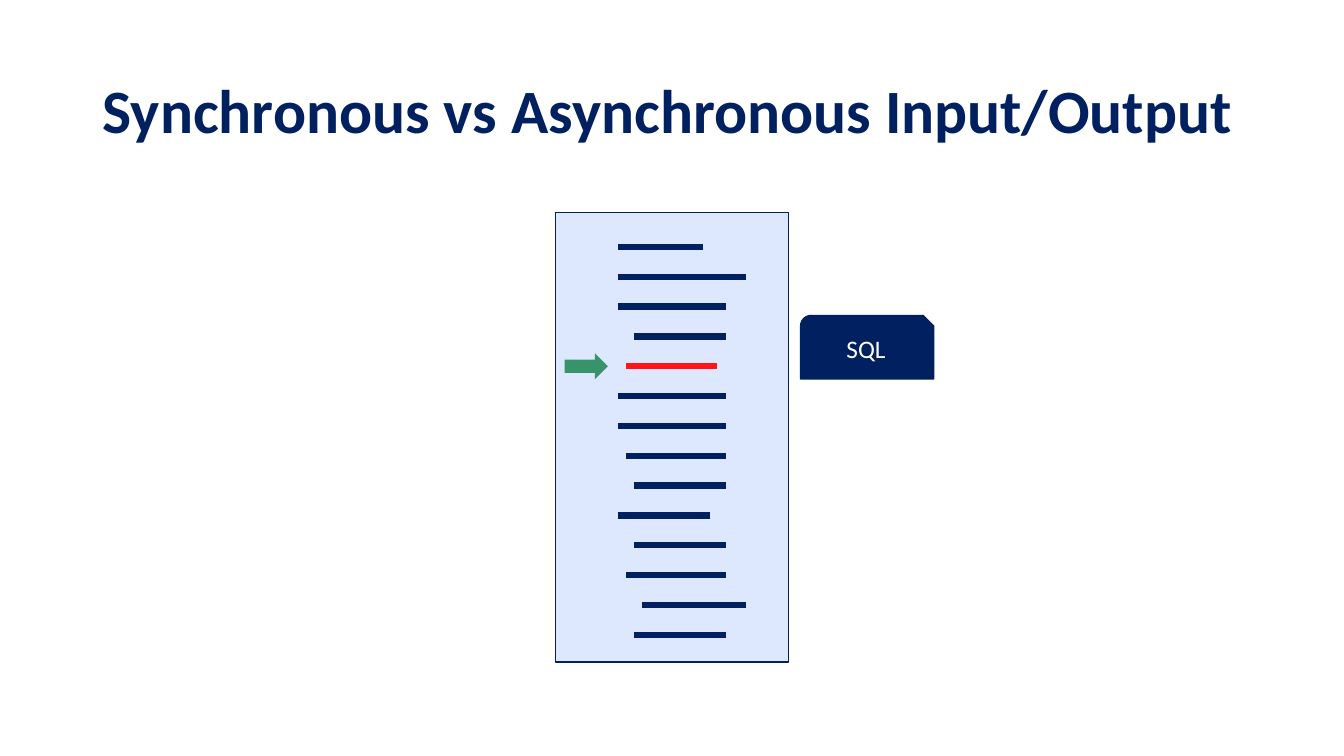
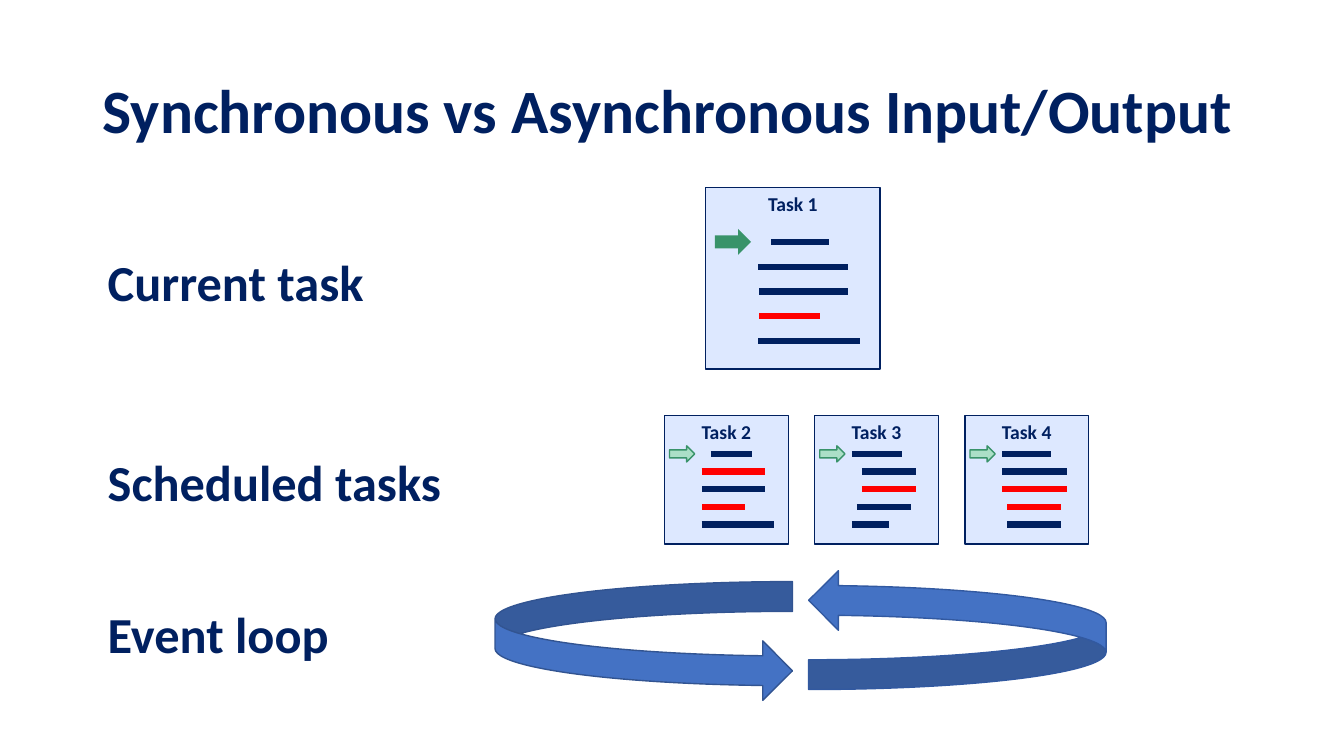
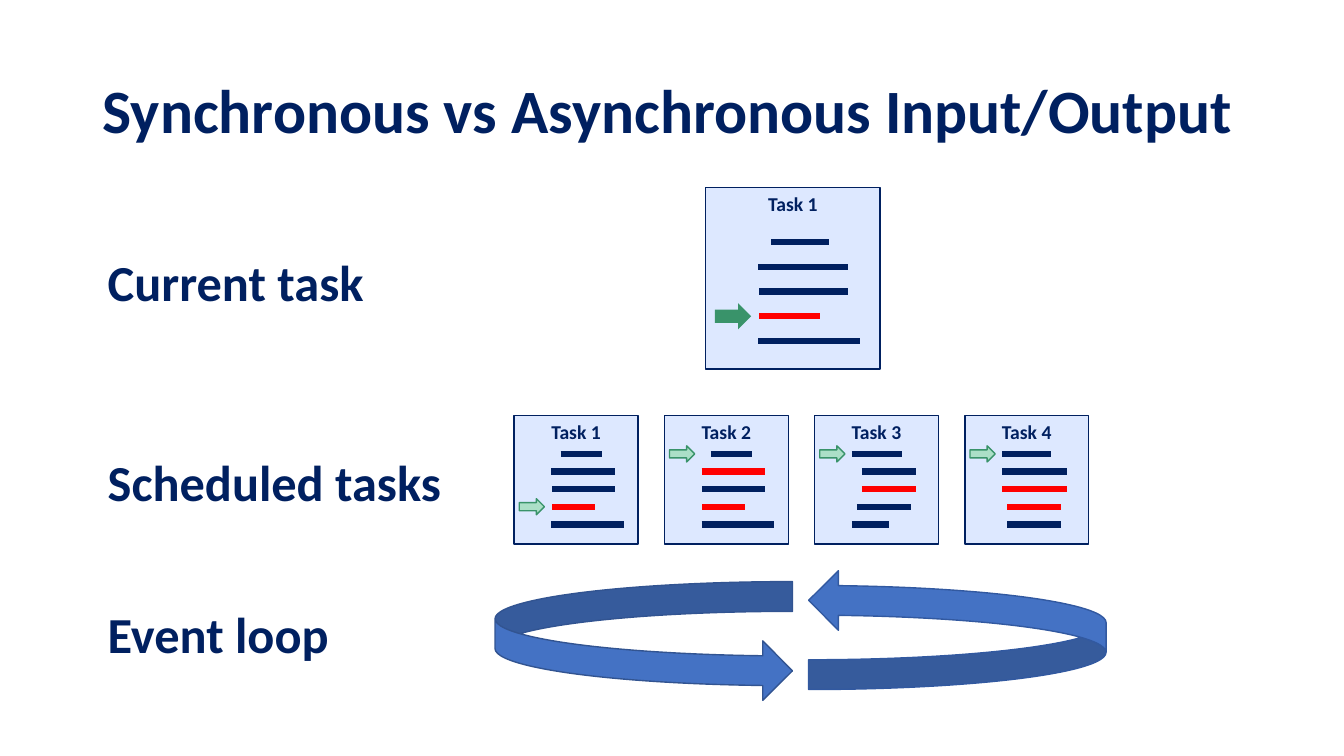
"""Build three slides on synchronous and asynchronous input/output."""
import pptx
import pptx.dml.color
import pptx.enum.shapes
import pptx.enum.text
import pptx.oxml
import pptx.util

Inches = pptx.util.Inches
SHAPE = pptx.enum.shapes.MSO_SHAPE
ALIGN = pptx.enum.text.PP_ALIGN
ANCHOR = pptx.enum.text.MSO_ANCHOR

COLORS = {
    "navy": "002060", "panel": "DDE8FF", "white": "FFFFFF",
    "red": "FF0000", "bright_red": "FF1515",
    "green": "39936A", "pale_green": "ABDFC7",
    "blue": "4472C4", "loop_left": "325491", "loop_right": "3259A0",
}
FORMATS = {
    "title": {"size": pptx.util.Pt(44), "bold": True},
    "label": {"size": pptx.util.Pt(36), "bold": True},
    "task": {"size": pptx.util.Pt(14), "bold": True},
    "tag": {"size": pptx.util.Pt(18), "bold": False},
}
TITLE = "Synchronous vs Asynchronous Input/Output"
LABELS = [("Current task", 2.44, 2.77), ("Scheduled tasks", 4.43, 3.55), ("Event loop", 5.93, 2.42)]

STEPPED = [(0.65, 1.22), (0.52, 1.41), (0.53, 1.41), (0.53, 1.13), (0.52, 1.53)]
TASKS = {
    "Task 1": (STEPPED, {3}),
    "Task 2": (STEPPED, {1, 3}),
    "Task 3": ([(0.52, 1.22), (0.66, 1.42), (0.66, 1.42), (0.59, 1.34), (0.52, 1.04)], {2}),
    "Task 4": ([(0.52, 1.21), (0.52, 1.42), (0.52, 1.42), (0.59, 1.34), (0.59, 1.34)], {2, 3}),
}
PROGRAM = [
    (0, 6.97), (0, 7.4), (0, 7.2), (2, 7.2), (1, 7.11), (0, 7.2), (0, 7.2),
    (1, 7.2), (2, 7.2), (0, 7.04), (2, 7.2), (1, 7.2), (3, 7.4), (2, 7.2),
]
CURRENT_LINE = 4
SMALL = 0.71


class Deck:
    """Hold the shared style and the slide being drawn."""

    def __init__(self):
        self.prs = pptx.Presentation()
        self.prs.slide_width, self.prs.slide_height = Inches(13.33), Inches(7.5)
        self.s = None

    def color(self, name):
        return pptx.dml.color.RGBColor.from_string(COLORS[name])

    def slide(self):
        self.s = self.prs.slides.add_slide(self.prs.slide_layouts[6])
        tf = self.textbox(TITLE, (0.92, 0.4, 11.5, 1.45), "title")
        tf.word_wrap = True
        tf.vertical_anchor = ANCHOR.MIDDLE
        tf.paragraphs[0].line_spacing = 0.9

    def add_text(self, tf, text, style, color="navy"):
        p = tf.paragraphs[0]
        r = p.add_run()
        r.text = text
        for key, value in {"name": "Calibri", **FORMATS[style]}.items():
            setattr(r.font, key, value)
        r.font.color.rgb = self.color(color)
        return p

    def textbox(self, text, box, style):
        tf = self.s.shapes.add_textbox(*map(Inches, box)).text_frame
        self.add_text(tf, text, style)
        return tf

    def label(self, text, top, width):
        tf = self.textbox(text, (0.97, top, width, 0.71), "label")
        tf.word_wrap = False
        tf.auto_size = pptx.enum.text.MSO_AUTO_SIZE.SHAPE_TO_FIT_TEXT

    def shape(self, kind, box, fill, line=None):
        sp = self.s.shapes.add_shape(kind, *map(Inches, box))
        sp.shadow.inherit = False
        sp.fill.solid()
        sp.fill.fore_color.rgb = self.color(fill)
        if line:
            sp.line.color.rgb = self.color(line)
            sp.line.width = pptx.util.Pt(1)
        else:
            sp.line.fill.background()
        return sp

    def shape_text(self, sp, text, style, color, anchor):
        sp.text_frame.vertical_anchor = anchor
        self.add_text(sp.text_frame, text, style, color).alignment = ALIGN.CENTER

    def code_line(self, x1, x2, y, color):
        ends = map(Inches, (x1, y, x2, y))
        cxn = self.s.shapes.add_connector(pptx.enum.shapes.MSO_CONNECTOR.STRAIGHT, *ends)
        cxn.line.color.rgb = self.color(color)
        cxn.line.width = pptx.util.Pt(4.5)
        cxn._element.spPr.append(pptx.oxml.parse_xml(
            '<a:effectLst xmlns:a="http://schemas.openxmlformats.org/drawingml/2006/main"/>'))

    def pointer(self, x, y, width, height, fill="green", line=None):
        self.shape(SHAPE.RIGHT_ARROW, (x, y - height / 2, width, height), fill, line)

    def task(self, name, left, top, scale, active):
        sp = self.shape(SHAPE.RECTANGLE, (left, top, 1.73 * scale, 1.8 * scale), "panel", "navy")
        self.shape_text(sp, name, "task", "navy", ANCHOR.TOP)
        spans, waits = TASKS[name]
        rows = [top + (0.54 + 0.246 * i) * scale for i in range(len(spans))]
        for i, ((x1, x2), y) in enumerate(zip(spans, rows)):
            self.code_line(left + x1 * scale, left + x2 * scale, y, "red" if i in waits else "navy")
        if scale == 1:
            self.pointer(left + 0.09, rows[active], 0.36, 0.26)
        else:
            self.pointer(left + 0.05, rows[active], 0.25, 0.16, "pale_green", "green")

    def program(self):
        self.shape(SHAPE.RECTANGLE, (5.51, 2.11, 2.31, 4.46), "panel", "navy")
        for i, (indent, end) in enumerate(PROGRAM):
            y = 2.45 + 0.296 * i
            current = i == CURRENT_LINE
            self.code_line(6.13 + 0.08 * indent, end, y, "bright_red" if current else "navy")
            if current:
                self.pointer(5.6, y, 0.43, 0.26)

    def event_loop(self, scheduled, active):
        self.slide()
        self.shape(SHAPE.CURVED_RIGHT_ARROW, (4.91, 5.77, 2.95, 1.18), "blue", "loop_left")
        sp = self.shape(SHAPE.CURVED_RIGHT_ARROW, (8.02, 5.66, 2.95, 1.18), "blue", "loop_right")
        sp.rotation = 180
        for label in LABELS:
            self.label(*label)
        self.task("Task 1", 7, 1.86, 1, active)
        for i, name in enumerate(TASKS):
            if name in scheduled:
                self.task(name, 5.1 + 1.49 * i, 4.12, SMALL, active if i == 0 else 0)


def main():
    deck = Deck()
    deck.slide()
    deck.program()
    sp = deck.shape(SHAPE.SNIP_ROUND_RECTANGLE, (7.94, 3.13, 1.32, 0.63), "navy", "navy")
    deck.shape_text(sp, "SQL", "tag", "white", ANCHOR.MIDDLE)
    deck.event_loop(list(TASKS)[1:], 0)
    deck.event_loop(list(TASKS), 3)
    deck.prs.save("out.pptx")


if __name__ == "__main__":
    main()
